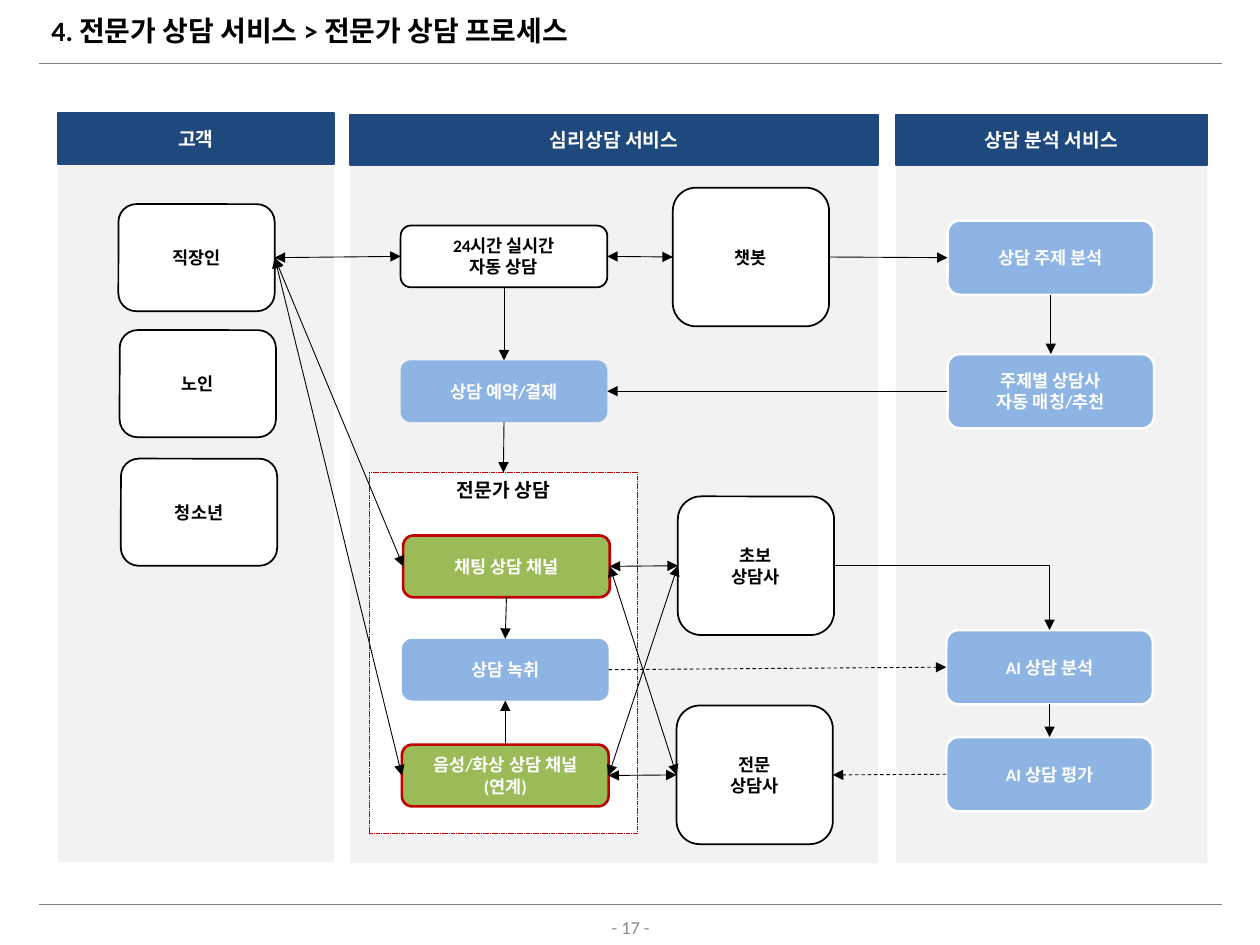
from lxml.etree import SubElement
from pptx import Presentation
from pptx.dml.color import RGBColor
from pptx.enum.dml import MSO_LINE_DASH_STYLE as DASH
from pptx.enum.shapes import MSO_CONNECTOR as CONNECTOR, MSO_SHAPE as SHAPE
from pptx.enum.text import MSO_ANCHOR as ANCHOR, PP_ALIGN as ALIGN
from pptx.oxml.ns import qn
from pptx.util import Inches, Pt

LATIN, KOREAN = "Calibri", "Noto Sans CJK KR"
TOP, LEFT, BOTTOM, RIGHT = range(4)

# Column: left, header top, width, heading
COLUMNS = [
    (0.46, 0.9, 2.19, "고객"),
    (2.78, 0.91, 4.19, "심리상담 서비스"),
    (7.11, 0.91, 2.47, "상담 분석 서비스"),
]

# Style: width, height, fill, line colour, line width, text colour
STYLES = {
    "customer": (1.24, 0.85, "FFFFFF", "000000", 1, "000000"),
    "counselor": (1.24, 1.1, "FFFFFF", "000000", 1, "000000"),
    "entry": (1.64, 0.49, "FFFFFF", "000000", 1, "000000"),
    "channel": (1.64, 0.49, "9BBB59", "C00000", 1.5, "FFFFFF"),
    "step": (1.64, 0.49, "8EB4E3", None, 0, "FFFFFF"),
    "analysis": (1.64, 0.59, "8EB4E3", "FFFFFF", 1.5, "FFFFFF"),
}

# Node: style, left, top, lines of text
NODES = {
    "worker": ("customer", 0.94, 1.62, ["직장인"]),
    "senior": ("customer", 0.95, 2.62, ["노인"]),
    "youth": ("customer", 0.96, 3.64, ["청소년"]),
    "auto": ("entry", 3.18, 1.79, ["24시간 실시간", "자동 상담"]),
    "booking": ("step", 3.18, 2.86, ["상담 예약/결제"]),
    "chat": ("channel", 3.2, 4.25, ["채팅 상담 채널"]),
    "recording": ("step", 3.19, 5.07, ["상담 녹취"]),
    "voice": ("channel", 3.19, 5.91, ["음성/화상 상담 채널", "(연계)"]),
    "chatbot": ("counselor", 5.34, 1.49, ["챗봇"]),
    "junior": ("counselor", 5.38, 3.94, ["초보", "상담사"]),
    "expert": ("counselor", 5.37, 5.6, ["전문", "상담사"]),
    "topic": ("analysis", 7.52, 1.75, ["상담 주제 분석"]),
    "matching": ("analysis", 7.52, 2.81, ["주제별 상담사", "자동 매칭/추천"]),
    "review": ("analysis", 7.51, 5, ["AI 상담 분석"]),
    "rating": ("analysis", 7.51, 5.85, ["AI 상담 평가"]),
}

TWO_WAY = [
    ("worker", "auto"), ("worker", "chat"), ("worker", "voice"),
    ("auto", "chatbot"),
    ("chat", "junior"), ("chat", "expert"),
    ("voice", "junior"), ("voice", "expert"),
]

# One-way arrow: from, side, to, side, dashed
ONE_WAY = [
    ("chatbot", RIGHT, "topic", LEFT, False),
    ("topic", BOTTOM, "matching", TOP, False),
    ("matching", LEFT, "booking", RIGHT, False),
    ("auto", BOTTOM, "booking", TOP, False),
    ("booking", BOTTOM, "group", TOP, False),
    ("chat", BOTTOM, "recording", TOP, False),
    ("voice", TOP, "recording", BOTTOM, False),
    ("recording", RIGHT, "review", LEFT, True),
    ("review", BOTTOM, "rating", TOP, False),
    ("rating", LEFT, "expert", RIGHT, True),
]


def rgb(value):
    return RGBColor.from_string(value)


def write(sp, lines, size, color, bold=True, font=LATIN, align=ALIGN.CENTER, anchor=ANCHOR.MIDDLE):
    tf = sp.text_frame
    tf.word_wrap = True
    tf.vertical_anchor = anchor
    for i, line in enumerate(lines):
        p = tf.add_paragraph() if i else tf.paragraphs[0]
        p.alignment = align
        r = p.add_run()
        r.text = line
        r.font.size, r.font.bold, r.font.name = Pt(size), bold, font
        r.font.color.rgb = rgb(color)
        SubElement(r.font._element, qn("a:ea"), typeface=KOREAN)


def add_text(s, box, text, size, color, **options):
    sp = s.shapes.add_textbox(*map(Inches, box))
    write(sp, [text], size, color, **options)
    return sp


def add_box(s, box, fill, line=None, width=1, square=False):
    sp = s.shapes.add_shape(SHAPE.ROUNDED_RECTANGLE, *map(Inches, box))
    sp.shadow.inherit = False
    if square:
        sp.adjustments[0] = 0
    sp.fill.solid()
    sp.fill.fore_color.rgb = rgb(fill)
    if line:
        sp.line.color.rgb = rgb(line)
        sp.line.width = Pt(width)
    else:
        sp.line.fill.background()
    return sp


def add_line(s, start=(0, 0), end=(0, 0), color="000000", width=0.5, kind=CONNECTOR.STRAIGHT):
    c = s.shapes.add_connector(kind, *map(Inches, (*start, *end)))
    c.line.color.rgb = rgb(color)
    c.line.width = Pt(width)
    SubElement(c._element.spPr, qn("a:effectLst"))
    return c


def add_arrow(s, start, start_side, end, end_side, dashed=False, two_way=False, kind=CONNECTOR.STRAIGHT):
    c = add_line(s, kind=kind)
    c.begin_connect(start, start_side)
    c.end_connect(end, end_side)
    if dashed:
        c.line.dash_style = DASH.DASH
    ln = c.line._get_or_add_ln()
    for tag in ("a:headEnd", "a:tailEnd") if two_way else ("a:tailEnd",):
        SubElement(ln, qn(tag), type="triangle")
    return c


def add_column(s, left, top, width, heading):
    add_box(s, (left, top + 0.39, width, 5.55), "F2F2F2", square=True)
    header = add_box(s, (left, top, width, 0.4), "1F497D", "1F497D", square=True)
    write(header, [heading], 11, "FFFFFF", font=KOREAN)


def add_node(s, style, left, top, lines):
    width, height, fill, line, line_width, color = STYLES[style]
    sp = add_box(s, (left, top, width, height), fill, line, line_width)
    write(sp, lines, 10, color)
    return sp


def main():
    prs = Presentation()
    prs.slide_width, prs.slide_height = Inches(10), Inches(7.5)
    s = prs.slides.add_slide(prs.slide_layouts[6])

    # Title, rules and page number
    for y in (0.5, 7.18):
        add_line(s, (0.31, y), (9.7, y), "808080", 0.25)
    title = add_text(s, (0.31, 0.06, 9.39, 0.39), "4. 전문가 상담 서비스 > 전문가 상담 프로세스",
                     16, "000000", align=ALIGN.LEFT)
    title.text_frame.paragraphs[0].line_spacing = 0.9
    add_text(s, (3.88, 7.25, 2.25, 0.21), "- 17 -", 10.5, "8C8C8C", bold=False)

    # Columns and the expert counselling group
    for column in COLUMNS:
        add_column(s, *column)
    group = add_box(s, (2.93, 3.75, 2.13, 2.86), "FFFFFF", "C00000", 0.25, square=True)
    group.line.dash_style = DASH.SQUARE_DOT
    write(group, ["전문가 상담"], 11, "000000", font=KOREAN, anchor=ANCHOR.TOP)

    # Process nodes
    nodes = {name: add_node(s, *node) for name, node in NODES.items()}
    nodes["group"] = group

    # Arrows
    for start, end in TWO_WAY:
        add_arrow(s, nodes[start], RIGHT, nodes[end], LEFT, two_way=True)
    for start, start_side, end, end_side, dashed in ONE_WAY:
        add_arrow(s, nodes[start], start_side, nodes[end], end_side, dashed)
    bent = add_arrow(s, nodes["junior"], RIGHT, nodes["review"], TOP, kind=CONNECTOR.ELBOW)
    bent._element.spPr.find(qn("a:prstGeom")).set("prst", "bentConnector2")

    prs.save("out.pptx")


if __name__ == "__main__":
    main()
